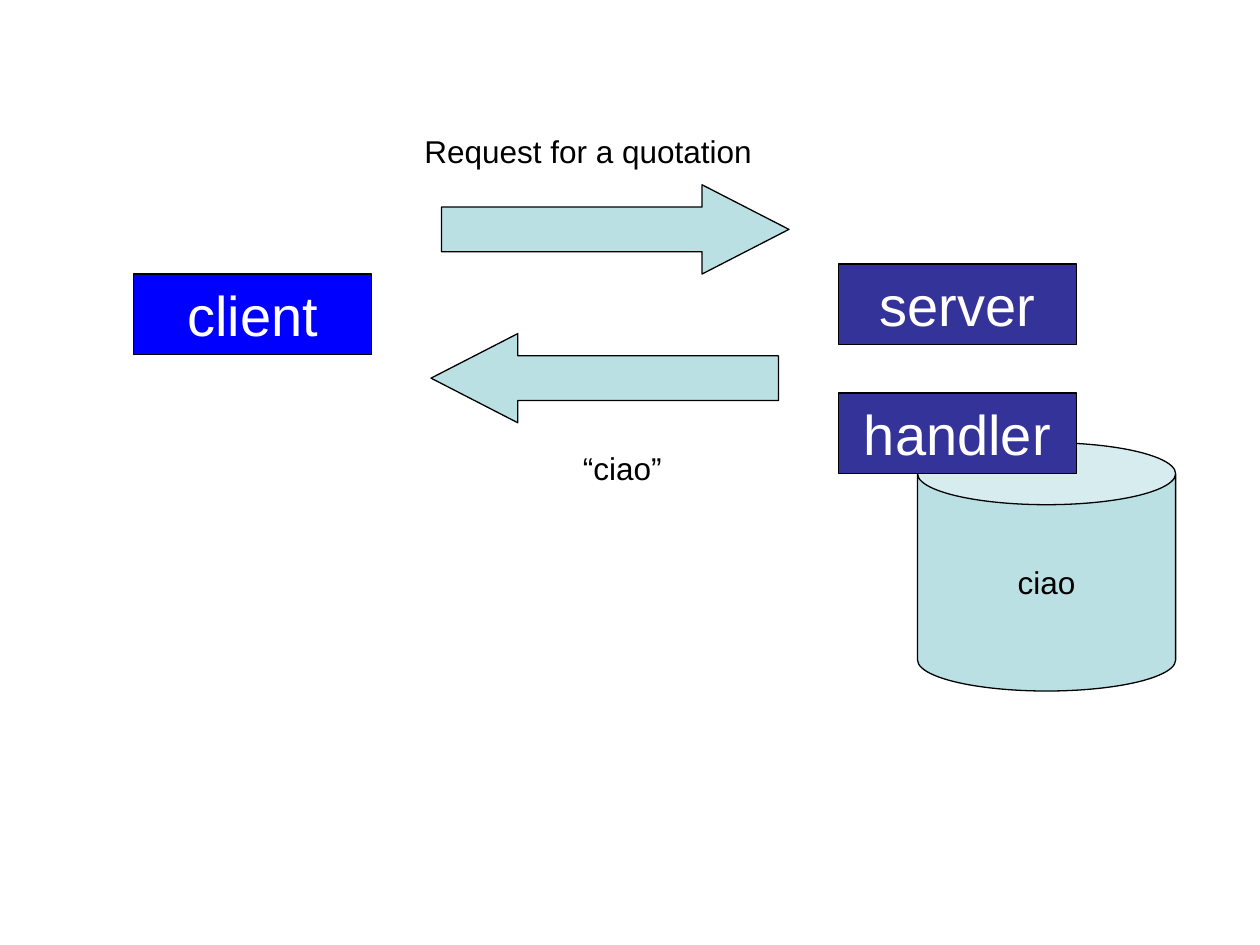
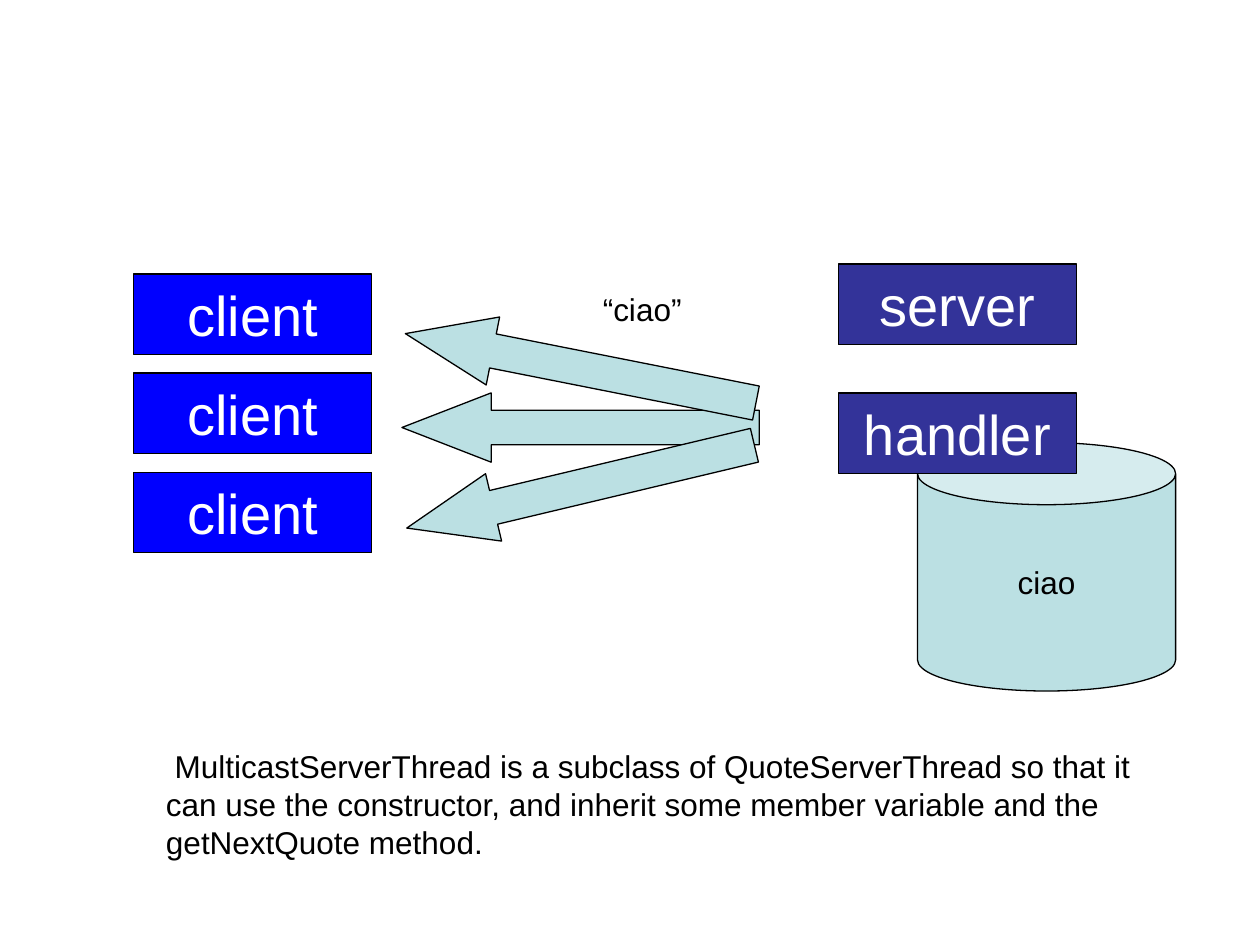
"""Two slides showing a quote server answering one client, then many."""
from pptx import Presentation
from pptx.dml.color import RGBColor
from pptx.enum.shapes import MSO_SHAPE
from pptx.enum.text import MSO_ANCHOR, MSO_AUTO_SIZE, PP_ALIGN
from pptx.util import Pt

RECT, CAN = MSO_SHAPE.RECTANGLE, MSO_SHAPE.CAN
RIGHT, LEFT = MSO_SHAPE.RIGHT_ARROW, MSO_SHAPE.LEFT_ARROW
TOP, MIDDLE = MSO_ANCHOR.TOP, MSO_ANCHOR.MIDDLE
GROW, FIXED = MSO_AUTO_SIZE.SHAPE_TO_FIT_TEXT, MSO_AUTO_SIZE.NONE
ALIGN_LEFT, CENTER = PP_ALIGN.LEFT, PP_ALIGN.CENTER

FONT = "Arial"
BLACK, WHITE = "000000", "FFFFFF"
BLUE, INDIGO, PALE = "0000FF", "333399", "BBE0E3"
NODE_W, NODE_H = 136.2, 46
CLIENT_PITCH = 56.6


def color(value):
    """Turn a hex string into a colour."""
    return RGBColor.from_string(value)


def write(sp, text, size=18, ink=BLACK, align=ALIGN_LEFT, anchor=TOP,
          wrap=False, fit=GROW):
    """Write one paragraph into a shape or text box."""
    tf = sp.text_frame
    tf.word_wrap = wrap
    tf.auto_size = fit
    tf.vertical_anchor = anchor
    p = tf.paragraphs[0]
    p.alignment = align
    r = p.add_run()
    r.text = text
    r.font.name = FONT
    r.font.size = Pt(size)
    r.font.color.rgb = color(ink)


def add_figure(s, kind, x, y, w, h, fill, adjustments=()):
    """Add a filled preset shape with a thin black outline."""
    sp = s.shapes.add_shape(kind, Pt(x), Pt(y), Pt(w), Pt(h))
    sp.shadow.inherit = False
    sp.fill.solid()
    sp.fill.fore_color.rgb = color(fill)
    sp.line.color.rgb = color(BLACK)
    sp.line.width = Pt(0.75)
    for i, value in enumerate(adjustments):
        sp.adjustments[i] = value
    return sp


def add_node(s, x, y, text, fill):
    """Add a named box for a program."""
    sp = add_figure(s, RECT, x, y, NODE_W, NODE_H, fill)
    write(sp, text, 32, WHITE, CENTER, wrap=True)


def add_label(s, x, y, w, text, h=29, wrap=False):
    """Add a plain text box."""
    write(s.shapes.add_textbox(Pt(x), Pt(y), Pt(w), Pt(h)), text, wrap=wrap)


def add_reply_label(s, x, y):
    """Label a reply, with room for the text on one line."""
    add_label(s, x, y, 64, "“ciao”")


def add_server_side(s, x, y):
    """Add the server, its handler and the store of quotes."""
    store = add_figure(s, CAN, x + 45.3, y + 102, 147.5, 142, PALE, [0.25])
    write(store, "ciao", align=CENTER, anchor=MIDDLE, fit=FIXED)
    add_node(s, x, y, "server", INDIGO)
    add_node(s, x, y + 73.7, "handler", INDIGO)


def add_clients(s, x, y, count):
    """Stack client boxes at an even pitch."""
    for i in range(count):
        add_node(s, x, y + i * CLIENT_PITCH, "client", BLUE)


def add_exchange(s, x, y):
    """Add the request and reply arrows with their labels."""
    add_label(s, x - 10.8, y, 202, "Request for a quotation")
    for kind, dx, dy in ((RIGHT, 6, 34), (LEFT, 0, 119)):
        add_figure(s, kind, x + dx, y + dy, 198.5, 51, PALE, [0.5, 0.973])
    add_reply_label(s, x + 79.7, y + 181.2)


def add_multicast(s, x, y):
    """Fan three arrows out from the server towards the clients."""
    add_reply_label(s, x + 107.7, y)
    for step, angle in ((0, 0), (-1, 11.2), (1, -13.4)):
        sp = add_figure(s, LEFT, x, y + 62.5 + step * 33.8, 204.2, 39.6,
                        PALE, [0.5, 1.288])
        sp.rotation = angle


def add_scene(prs, client_count):
    """Add a slide with clients on the left and the server on the right."""
    s = prs.slides.add_slide(prs.slide_layouts[6])
    add_server_side(s, 479, 150.9)
    add_clients(s, 76.3, 156.6, client_count)
    return s


def main():
    """Build and save both slides."""
    prs = Presentation()
    prs.slide_width, prs.slide_height = Pt(720), Pt(540)
    add_exchange(add_scene(prs, 1), 246.3, 71.6)
    s = add_scene(prs, 3)
    add_multicast(s, 229.7, 162)
    add_label(s, 87.8, 423.4, 584,
              " MulticastServerThread is a subclass of QuoteServerThread so "
              "that it can use the constructor, and inherit some member "
              "variable and the getNextQuote method.", h=72, wrap=True)
    prs.save("out.pptx")


if __name__ == "__main__":
    main()
